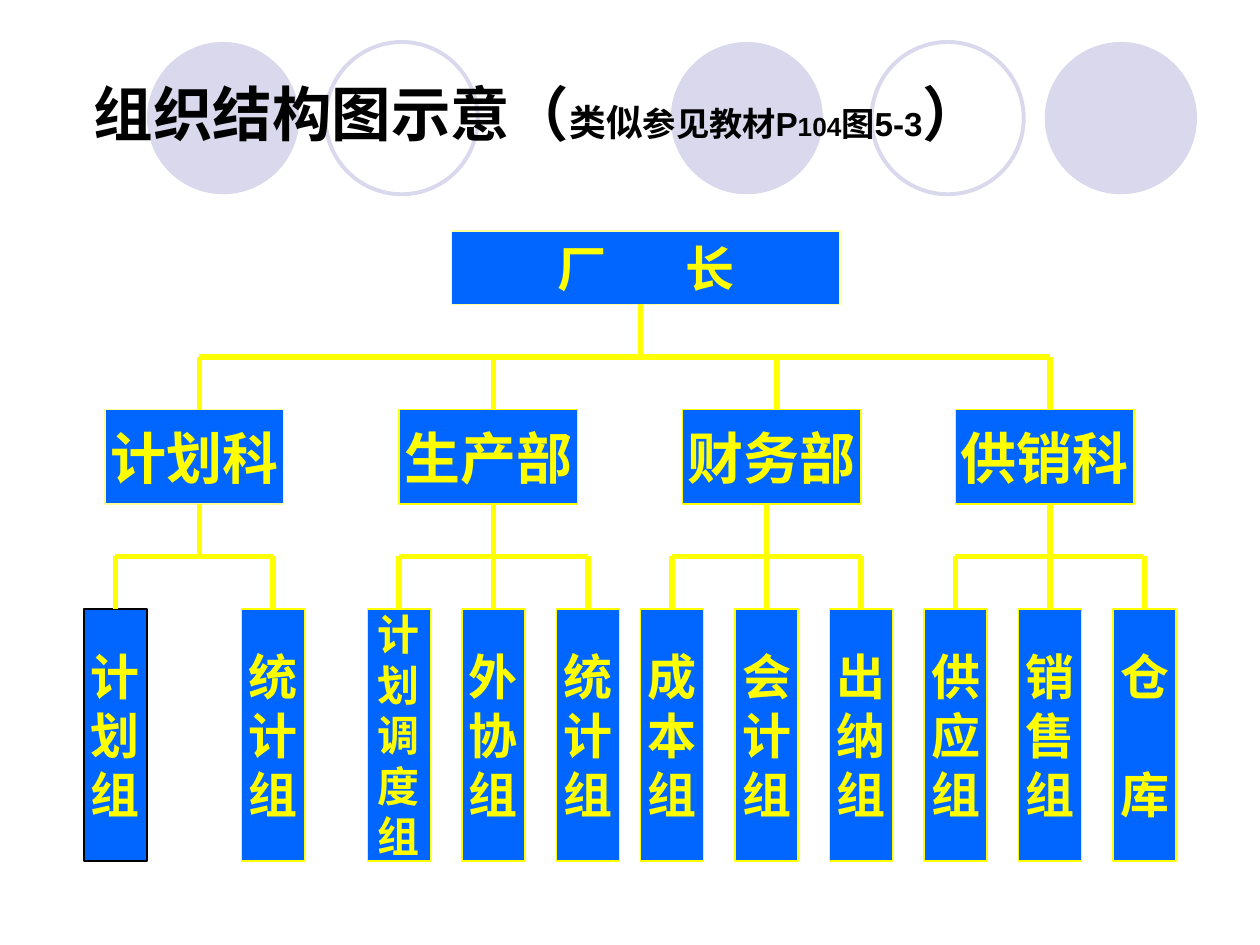
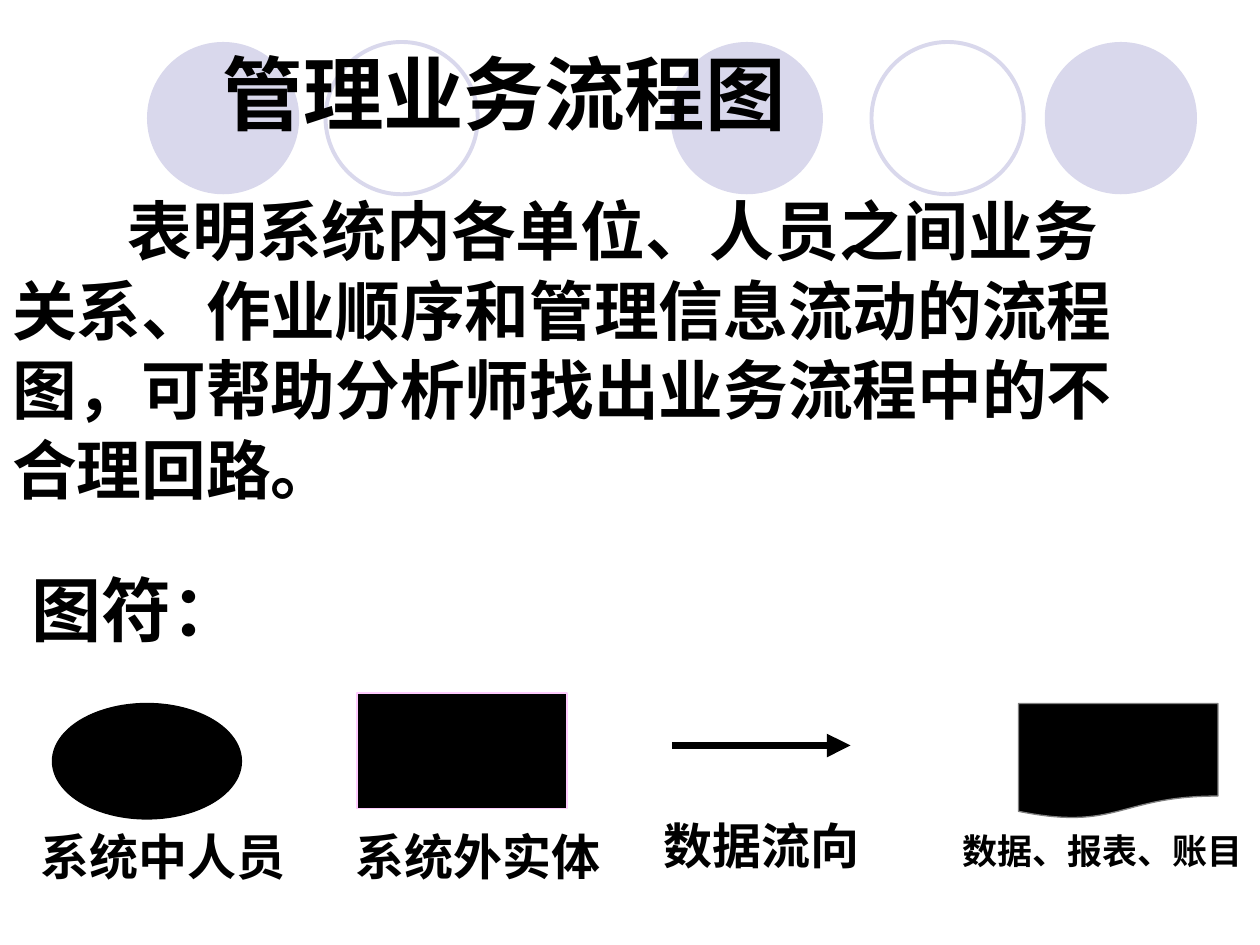
from lxml.etree import SubElement
from pptx import Presentation
from pptx.dml.color import RGBColor
from pptx.enum.shapes import MSO_CONNECTOR, MSO_SHAPE
from pptx.enum.text import MSO_ANCHOR, MSO_AUTO_SIZE, PP_ALIGN
from pptx.oxml.ns import qn
from pptx.util import Pt

PX = 9525  # 96 px to the inch
BLACK = RGBColor(0x00, 0x00, 0x00)
BLUE = RGBColor(0x00, 0x66, 0xFF)
YELLOW = RGBColor(0xFF, 0xFF, 0x00)
PALE_YELLOW = RGBColor(0xFF, 0xFF, 0x99)
LILAC = RGBColor(0xD9, 0xD8, 0xEC)
PINK = RGBColor(0xFF, 0xCC, 0xFF)
GREY = RGBColor(0x80, 0x80, 0x80)


def add_shape(page, kind, place, fill, outline, width=0.75):
    shape = page.shapes.add_shape(kind, *[n * PX for n in place])
    shape.shadow.inherit = False
    if fill is None:
        shape.fill.background()
    else:
        shape.fill.solid()
        shape.fill.fore_color.rgb = fill
    if outline is None:
        shape.line.fill.background()
    else:
        shape.line.color.rgb = outline
        shape.line.width = Pt(width)
    return shape


def write(shape, lines, size, colour, align=PP_ALIGN.CENTER, wrap=False, face="Arial"):
    """Each line is a list of (text, size) spans, or a plain string."""
    frame = shape.text_frame
    frame.word_wrap = wrap
    frame.auto_size = MSO_AUTO_SIZE.NONE
    frame.vertical_anchor = MSO_ANCHOR.MIDDLE
    for number, line in enumerate(lines):
        para = frame.add_paragraph() if number else frame.paragraphs[0]
        para.alignment = align
        para.font.name = face
        para.font.size = Pt(size)
        para.font.bold = True
        para.font.color.rgb = colour
        for text, span_size in [(line, size)] if isinstance(line, str) else line:
            span = para.add_run()
            span.text = text
            if span_size != size:
                span.font.size = Pt(span_size)
    return frame.paragraphs


deck = Presentation()
deck.slide_width, deck.slide_height = 960 * PX, 720 * PX
layout = deck.slide_layouts[5]
chart_page = deck.slides.add_slide(layout)
flow_page = deck.slides.add_slide(layout)

# Shared band of circles, kept on the layout behind everything
for left, filled in [(112, True), (248, False), (511, True), (664, False), (796, True)]:
    circle = add_shape(chart_page, MSO_SHAPE.OVAL, (left, 32, 116, 116),
                       LILAC if filled else None, None if filled else LILAC, 2.25)
    layout.shapes.element.insert(2, circle.element)

# Titles
chart_title = [("组织结构图示意（", 34), ("类似", 21), ("参见教材P", 19),
               ("104", 15), ("图5-3", 19), ("）", 34)]
for page, place, line, size, face in [
    (chart_page, (62, 28, 872, 116), chart_title, 34, "Arial"),
    (flow_page, (160, 0, 560, 140), "管理业务流程图", 46, "Noto Sans CJK SC"),
]:
    title = page.shapes.title
    title.left, title.top, title.width, title.height = [n * PX for n in place]
    write(title, [line], size, BLACK, PP_ALIGN.LEFT, True, face)

# Organisation chart: the director
director = add_shape(chart_page, MSO_SHAPE.RECTANGLE, (344, 176, 296, 56), BLUE, PALE_YELLOW)
paras = write(director, [[("厂", 28), (" ", 28), ("长", 28)]], 28, YELLOW)
paras[0].runs[1].font._element.set("spc", "3900")  # wide gap between the two characters

# Departments: name, left, line from above, line to below, outline, groups with their lefts
departments = [
    ("计划科", 80, 152, 152, PALE_YELLOW, [("计划组", 64), ("统计组", 184)]),
    ("生产部", 304, 376, 376, YELLOW, [("计划调度组", 280), ("外协组", 352), ("统计组", 424)]),
    ("财务部", 520, 592, 584, YELLOW, [("成本组", 488), ("会计组", 560), ("出纳组", 632)]),
    ("供销科", 728, 800, 800, YELLOW, [("供应组", 704), ("销售组", 776), ("仓库", 848)]),
]
# Links: start x, start y, end x, end y, box joined at its top
links = [(488, 232, 488, 272, None), (152, 272, 800, 272, None)]
for name, left, above, below, outline, groups in departments:
    box = add_shape(chart_page, MSO_SHAPE.RECTANGLE, (left, 312, 136, 72), BLUE, outline)
    write(box, [name], 32, YELLOW)
    links += [(above, 272, above, 312, None), (below, 384, below, 424, None),
              (groups[0][1] + 24, 424, groups[-1][1] + 24, 424, None)]
    for group, group_left in groups:
        box = add_shape(chart_page, MSO_SHAPE.RECTANGLE, (group_left, 464, 48, 192),
                        BLUE, BLACK if group == "计划组" else YELLOW)
        paras = write(box, list(group), 24 if len(group) > 3 else 28, YELLOW)
        if len(group) == 2:
            paras[1].space_before = Pt(34)
        links.append((group_left + 24, 424, group_left + 24, 464, box))

connectors = []
for x1, y1, x2, y2, box in links:
    link = chart_page.shapes.add_connector(
        MSO_CONNECTOR.STRAIGHT, x1 * PX, y1 * PX, x2 * PX, y2 * PX)
    if box is not None:
        link.end_connect(box, 0)
    connectors.append((link, YELLOW, 3))

# Flow chart page: explanation
body = flow_page.shapes.add_textbox(0, 152 * PX, 960 * PX, 304 * PX)
paras = write(body, ["表明系统内各单位、人员之间业务", "关系、作业顺序和管理信息流动的流程",
                     "图，可帮助分析师找出业务流程中的不", "合理回路。"],
              37, BLACK, PP_ALIGN.LEFT, True)
body.text_frame.vertical_anchor = MSO_ANCHOR.TOP
for number, para in enumerate(paras):
    para.line_spacing = 0.8
    para.space_before = Pt(10 if number else 0)
paras[0]._p.get_or_add_pPr().set("indent", str(88 * PX))

# Symbols
for kind, place, outline in [
    (MSO_SHAPE.OVAL, (40, 536, 144, 88), BLACK),
    (MSO_SHAPE.RECTANGLE, (272, 528, 160, 88), PINK),
    (MSO_SHAPE.FLOWCHART_DOCUMENT, (776, 536, 152, 88), GREY),
]:
    add_shape(flow_page, kind, place, BLACK, outline)
arrow = flow_page.shapes.add_connector(
    MSO_CONNECTOR.STRAIGHT, 512 * PX, 568 * PX, 648 * PX, 568 * PX)
connectors.append((arrow, BLACK, 4.5))

# Labels
for text, place, size in [
    ("图符：", (0, 424, 208, 80), 40),
    ("系统中人员", (32, 616, 184, 72), 28),
    ("系统外实体", (272, 616, 184, 72), 28),
    ("数据流向", (488, 608, 184, 72), 28),
    ("数据、报表、账目", (720, 608, 240, 80), 20),
]:
    write(flow_page.shapes.add_textbox(*[n * PX for n in place]), [text], size, BLACK)

# Line style of all connectors
for connector, colour, width in connectors:
    connector.line.color.rgb = colour
    connector.line.width = Pt(width)
    SubElement(connector.element.spPr, qn("a:effectLst"))
SubElement(arrow.line._get_or_add_ln(), qn("a:tailEnd"), type="triangle")

deck.save("out.pptx")
